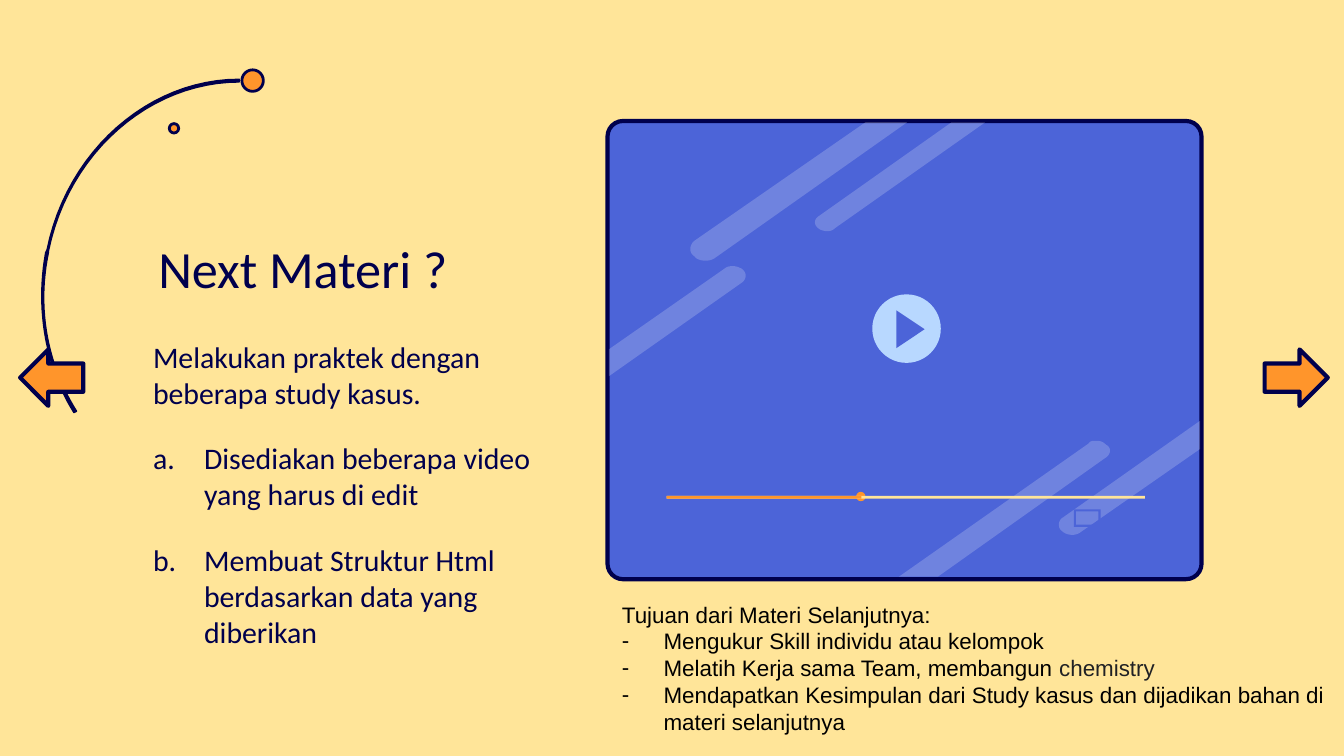
from pptx import Presentation
from pptx.dml.color import RGBColor
from pptx.enum.shapes import MSO_SHAPE
from pptx.oxml.ns import qn
from pptx.util import Inches, Pt
from lxml import etree

ROUND_RECT, RECT, OVAL = MSO_SHAPE.ROUNDED_RECTANGLE, MSO_SHAPE.RECTANGLE, MSO_SHAPE.OVAL
LEFT_ARROW, RIGHT_ARROW, FRAME = MSO_SHAPE.LEFT_ARROW, MSO_SHAPE.RIGHT_ARROW, MSO_SHAPE.FRAME

SAND, NAVY, BLUE, ORANGE = "FFE599", "00004D", "4C64D8", "FF952B"
PALE, WHITE, BLACK, GREY = "B8D8FF", "FFFFFF", "000000", "202124"

# Text: each paragraph is (bullet, [(words, colour), ...])
TITLE = [(None, [("Next Materi ?", NAVY)])]
LESSON = [
    (None, [("Melakukan praktek dengan beberapa study kasus.", NAVY)]),
    ("letter", [("Disediakan beberapa video yang harus di edit", NAVY)]),
    ("letter", [("Membuat Struktur Html berdasarkan data yang diberikan", NAVY)]),
]
GOALS = [
    (None, [("Tujuan dari Materi Selanjutnya:", BLACK)]),
    ("-", [("Mengukur Skill individu atau kelompok", BLACK)]),
    ("-", [("Melatih Kerja sama Team, membangun ", BLACK), ("chemistry", GREY)]),
    ("-", [("Mendapatkan Kesimpulan dari Study kasus dan dijadikan bahan di "
            "materi selanjutnya", BLACK)]),
]

# Outlines in inches: a pair is a line, six numbers are a Bezier curve
GLARES = [
    [(6.75, 0.91), (5.32, 1.92), (5.29, 1.94, 5.27, 1.94, 5.24, 1.94),
     (5.22, 1.94, 5.18, 1.93, 5.17, 1.91), (5.12, 1.88, 5.13, 1.82, 5.17, 1.79), (6.44, 0.91)],
    [(7.33, 0.91), (6.21, 1.7), (6.19, 1.72, 6.17, 1.72, 6.15, 1.72),
     (6.13, 1.72, 6.1, 1.71, 6.09, 1.7), (6.05, 1.67, 6.06, 1.63, 6.09, 1.61), (7.08, 0.91)],
    [(5.45, 1.98), (5.48, 1.98, 5.5, 1.99, 5.52, 2), (5.56, 2.03, 5.56, 2.08, 5.51, 2.11),
     (4.53, 2.8), (4.53, 2.6), (5.39, 2), (5.4, 1.99, 5.42, 1.98, 5.45, 1.98)],
    [(8.16, 3.28), (8.19, 3.28, 8.21, 3.29, 8.23, 3.31), (8.27, 3.33, 8.27, 3.38, 8.22, 3.41),
     (6.98, 4.29), (6.69, 4.29), (8.1, 3.3), (8.11, 3.28, 8.13, 3.28, 8.16, 3.28)],
    [(7.98, 3.98), (7.95, 3.98, 7.92, 3.97, 7.9, 3.95), (7.87, 3.93, 7.87, 3.87, 7.91, 3.85),
     (8.93, 3.13), (8.93, 3.34), (8.04, 3.96), (8.03, 3.97, 8, 3.98, 7.98, 3.98)],
]
PLAY_MARK = [(6.67, 2.31), (6.67, 2.59), (6.88, 2.45)]
ARC = [(1.78, 0.59), (1.78, 0.61), (1.12, 0.61, 0.51, 1.13, 0.36, 1.87),
       (0.36, 1.88), (0.27, 2.31, 0.36, 2.73, 0.57, 3.06), (0.55, 3.07),
       (0.35, 2.75, 0.26, 2.32, 0.34, 1.88), (0.35, 1.86),
       (0.5, 1.12, 1.11, 0.59, 1.78, 0.59)]

# Preset shapes: kind, left, top, width, height, fill, line colour, line width
SCREEN = (ROUND_RECT, 4.52, 0.9, 4.42, 3.41, BLUE, NAVY, 2.25)
PLAYER = [
    (OVAL, 6.37, 3.66, 0.07, 0.07, ORANGE),
    (RECT, 4.96, 3.69, 3.56, 0.02, SAND),
    (RECT, 4.96, 3.69, 1.45, 0.02, ORANGE),
    (FRAME, 7.99, 3.79, 0.2, 0.13, BLUE),
    (OVAL, 6.49, 2.19, 0.51, 0.51, PALE),
]
ORNAMENTS = [
    (OVAL, 1.26, 0.92, 0.07, 0.07, ORANGE, NAVY, 1.5),
    (OVAL, 1.8, 0.52, 0.16, 0.16, ORANGE, NAVY, 1.5),
    (LEFT_ARROW, 0.15, 2.6, 0.47, 0.42, ORANGE, NAVY, 2.25),
    (RIGHT_ARROW, 9.41, 2.6, 0.47, 0.42, ORANGE, NAVY, 2.25),
]


def rgb(value):
    return RGBColor.from_string(value)


def paint(shape, fill, line=None, width=0):
    shape.shadow.inherit = False
    shape.fill.solid()
    shape.fill.fore_color.rgb = rgb(fill)
    if line:
        shape.line.color.rgb = rgb(line)
        shape.line.width = Pt(width)
    else:
        shape.line.fill.background()
    return shape


def add_preset(kind, left, top, width, height, *style):
    shape = page.shapes.add_shape(kind, *map(Inches, (left, top, width, height)))
    return paint(shape, *style)


def add_outline(steps, *style, curve_parts=24):
    """Draw a closed outline, with each curve sampled as short lines."""
    points = [steps[0]]
    for step in steps[1:]:
        if len(step) == 2:
            points.append(step)
            continue
        knots = [points[-1], step[:2], step[2:4], step[4:]]
        for part in range(1, curve_parts + 1):
            t = part / curve_parts
            weights = ((1 - t) ** 3, 3 * t * (1 - t) ** 2, 3 * t * t * (1 - t), t ** 3)
            points.append(tuple(sum(w * knot[axis] for w, knot in zip(weights, knots))
                                for axis in (0, 1)))
    spots = [(Inches(x), Inches(y)) for x, y in points]
    builder = page.shapes.build_freeform(*spots[0])
    builder.add_line_segments(spots[1:], close=True)
    return paint(builder.convert_to_shape(), *style)


def set_bullet(para, bullet, colour, font, indent):
    props = para._p.get_or_add_pPr()
    props.set("marL", str(Inches(indent)))
    props.set("indent", str(-Inches(indent)))
    tint = etree.SubElement(etree.SubElement(props, qn("a:buClr")), qn("a:srgbClr"))
    tint.set("val", colour)
    etree.SubElement(props, qn("a:buFont")).set("typeface", font)
    if bullet == "letter":
        etree.SubElement(props, qn("a:buAutoNum")).set("type", "alphaLcPeriod")
    else:
        etree.SubElement(props, qn("a:buChar")).set("char", bullet)


def add_text(place, content, font, size, inset=0.1, after=0, indent=0):
    box = page.shapes.add_textbox(*map(Inches, place))
    frame = box.text_frame
    frame.word_wrap = True
    frame.margin_top = frame.margin_bottom = Inches(inset)
    for index, (bullet, spans) in enumerate(content):
        para = frame.add_paragraph() if index else frame.paragraphs[0]
        if bullet:
            set_bullet(para, bullet, spans[0][1], font, indent)
        para.font.name, para.font.size = font, Pt(size)
        para.space_after = Pt(after)
        for words, colour in spans:
            span = para.add_run()
            span.text = words
            span.font.color.rgb = rgb(colour)


# A 16:9 page
deck = Presentation()
deck.slide_width = Inches(10)
deck.slide_height = Inches(10 * 9 / 16)
page = deck.slides.add_slide(deck.slide_layouts[6])
page.background.fill.solid()
page.background.fill.fore_color.rgb = rgb(SAND)

# Video screen and lesson text
add_preset(*SCREEN).adjustments[0] = 0.034
add_text((1.04, 2.42, 3.18, 1.24), LESSON, "Calibri", 16, after=16, indent=0.38)
add_text((1.08, 1.66, 3.04, 0.63), TITLE, "Calibri", 28)

# Translucent glare on the screen
for glare in GLARES:
    shape = add_outline(glare, WHITE)
    tint = shape._element.spPr.find(qn("a:solidFill")).find(qn("a:srgbClr"))
    etree.SubElement(tint, qn("a:alpha")).set("val", "20000")

# Player controls
for part in PLAYER:
    add_preset(*part)
add_outline(PLAY_MARK, BLUE)

# Arc, dots and navigation arrows
add_outline(ARC, NAVY, NAVY, 0.75)
for part in ORNAMENTS:
    add_preset(*part)

# Goals below the screen
add_text((4.53, 4.42, 5.67, 1.11), GOALS, "Arial", 12, inset=0.05, indent=0.31)

deck.save("out.pptx")
